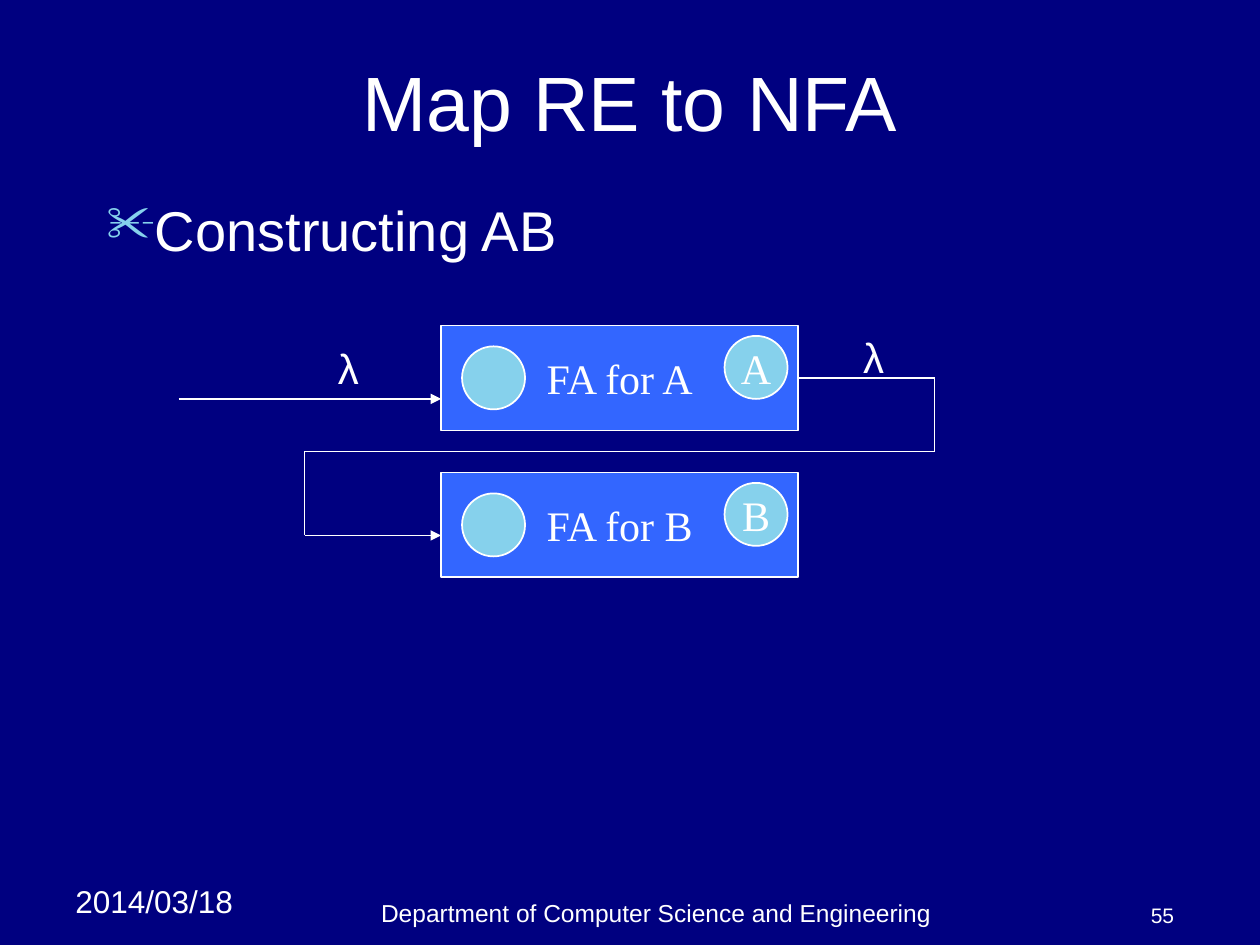
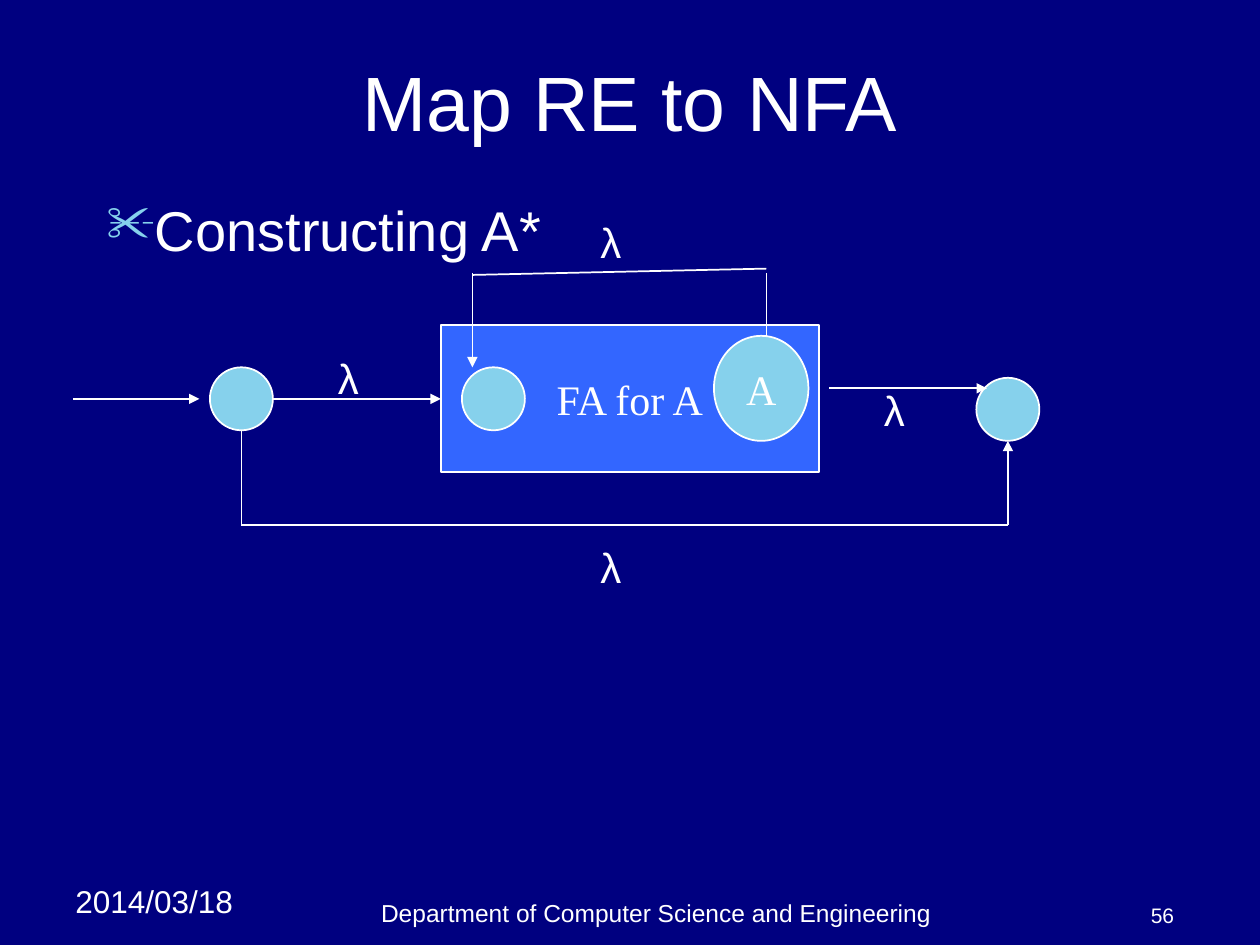
from dataclasses import dataclass
from itertools import pairwise

from lxml import etree
from pptx import Presentation
from pptx.dml.color import RGBColor
from pptx.enum.shapes import MSO_CONNECTOR, MSO_SHAPE
from pptx.enum.text import MSO_ANCHOR, PP_ALIGN
from pptx.oxml.ns import qn
from pptx.util import Cm, Pt

RECTANGLE, OVAL = MSO_SHAPE.RECTANGLE, MSO_SHAPE.OVAL
STRAIGHT = MSO_CONNECTOR.STRAIGHT
LEFT, CENTER, RIGHT = PP_ALIGN.LEFT, PP_ALIGN.CENTER, PP_ALIGN.RIGHT
TOP, MIDDLE, BOTTOM = MSO_ANCHOR.TOP, MSO_ANCHOR.MIDDLE, MSO_ANCHOR.BOTTOM


@dataclass(frozen=True)
class Theme:
    background: RGBColor = RGBColor(0x00, 0x00, 0x80)
    ink: RGBColor = RGBColor(0xFF, 0xFF, 0xFF)
    automaton: RGBColor = RGBColor(0x33, 0x66, 0xFF)
    state: RGBColor = RGBColor(0x86, 0xD1, 0xEC)
    sans: str = "Arial"
    serif: str = "Times New Roman"
    title: int = 44
    body: int = 32
    diagram: int = 24
    date: int = 18
    footer: int = 14
    number: int = 12
    line: int = 1


THEME = Theme()
GRID = Cm(2.54) / 12  # step of the diagram grid
STATE_SIZE = 6  # grid steps


def write(shape, text, size, font=THEME.sans, align=LEFT, anchor=TOP, wrap=True):
    """Put one styled paragraph into a shape and return it."""
    frame = shape.text_frame
    frame.text = text
    frame.word_wrap = wrap
    frame.vertical_anchor = anchor
    paragraph = frame.paragraphs[0]
    paragraph.alignment = align
    for run in paragraph.runs:
        run.font.size = Pt(size)
        run.font.name = font
        run.font.color.rgb = THEME.ink
    return paragraph


def add_text(slide, box, text, size, **style):
    return write(slide.shapes.add_textbox(*box), text, size, **style)


def add_scissors_bullet(paragraph):
    props = paragraph._p.get_or_add_pPr()
    indent = Cm(0.95)
    props.set("marL", str(indent))
    props.set("indent", str(-indent))
    color = etree.SubElement(props, qn("a:buClr"))
    etree.SubElement(color, qn("a:srgbClr"), val=str(THEME.state))
    etree.SubElement(props, qn("a:buSzPct"), val="90000")
    etree.SubElement(props, qn("a:buChar"), char="✂")


@dataclass
class Diagram:
    """Automaton drawing, in grid steps from its top left corner."""
    slide: object
    left: int
    top: int

    def point(self, x, y):
        return round(self.left + x * GRID), round(self.top + y * GRID)

    def node(self, kind, x, y, width, height, fill, text):
        size = round(width * GRID), round(height * GRID)
        shape = self.slide.shapes.add_shape(kind, *self.point(x, y), *size)
        shape.shadow.inherit = False
        shape.fill.solid()
        shape.fill.fore_color.rgb = fill
        shape.line.color.rgb = THEME.ink
        shape.line.width = Pt(THEME.line)
        if text:
            write(shape, text, THEME.diagram, font=THEME.serif,
                  align=CENTER, anchor=MIDDLE, wrap=False)

    def state(self, x, y, name="", width=STATE_SIZE, height=STATE_SIZE):
        self.node(OVAL, x, y, width, height, THEME.state, name)

    def automaton(self, x, y, width, height, name):
        self.node(RECTANGLE, x, y, width, height, THEME.automaton, f"FA for {name}")

    def route(self, *points, arrow=True):
        """Join the points by lines; the arrowhead ends the last one."""
        for start, end in pairwise(points):
            line = self.slide.shapes.add_connector(
                STRAIGHT, *self.point(*start), *self.point(*end))
            line.line.color.rgb = THEME.ink
            line.line.width = Pt(THEME.line)
            etree.SubElement(line._element.spPr, qn("a:effectLst"))
        if arrow:
            etree.SubElement(line.line._get_or_add_ln(), qn("a:tailEnd"), type="triangle")

    def lambdas(self, *places):
        for place in places:
            box = *self.point(*place), round(4.5 * GRID), round(6 * GRID)
            add_text(self.slide, box, "λ", THEME.diagram, wrap=False)


def add_base_slide(prs, topic, number):
    """Footer row, title and bullet that both slides share."""
    slide = prs.slides.add_slide(prs.slide_layouts[6])
    # Footer row
    add_text(slide, (Cm(1.27), Cm(17.65), Cm(4), Cm(1.02)), "2014/03/18", THEME.date)
    row_top, row_height = Cm(17.98), Cm(0.85)
    add_text(slide, (Cm(4.66), row_top, Cm(17.14), row_height),
             "Department of Computer Science and Engineering",
             THEME.footer, align=CENTER, anchor=BOTTOM)
    add_text(slide, (Cm(22.22), row_top, Cm(1.7), row_height), str(number),
             THEME.number, align=RIGHT, anchor=BOTTOM)
    # Title and topic
    add_text(slide, (Cm(1.27), Cm(0.76), Cm(22.86), Cm(2.54)), "Map RE to NFA",
             THEME.title, align=CENTER, anchor=MIDDLE)
    add_scissors_bullet(add_text(
        slide, (Cm(1.9), Cm(3.81), Cm(21.6), Cm(14.18)), topic, THEME.body))
    return slide


def draw_concatenation(diagram):
    # Automata, one above the other
    for row, name in enumerate("AB"):
        y = row * 14
        diagram.automaton(25, y, 34, 10, name)
        diagram.state(52, y + 1, name)
        diagram.state(27, y + 2)
    # Entry, then the way from A to B
    diagram.route((0, 7), (25, 7))
    diagram.route((59, 5), (72, 5), (72, 12), (12, 12), (12, 20), (25, 20))
    diagram.lambdas((14, 1), (64, 0))


def draw_star(diagram):
    # Automaton with its start and final states
    diagram.automaton(35, 11, 36, 14, "A")
    diagram.state(61, 12, "A", 9, 10)
    diagram.state(37, 15)
    # Outer final and start states
    diagram.state(86, 16)
    diagram.state(13, 15)
    # Entry and way through
    diagram.route((0, 18), (12, 18))
    diagram.route((19, 18), (35, 18))
    diagram.route((72, 17), (87, 17))
    # Loop back over the automaton
    diagram.route((66, 12), (66, 6), arrow=False)
    diagram.route((38, 6.2), (66, 5.6), arrow=False)
    diagram.route((38, 6), (38, 15))
    # Bypass below
    diagram.route((16, 21), (16, 30), (89, 30), (89, 22))
    diagram.lambdas((24, 13), (49, 0), (49, 31), (76, 16))


def main():
    prs = Presentation()
    prs.slide_width, prs.slide_height = Cm(25.4), Cm(19.05)
    backdrop = prs.slide_master.background.fill
    backdrop.solid()
    backdrop.fore_color.rgb = THEME.background

    concatenation = add_base_slide(prs, "Constructing AB", 55)
    draw_concatenation(Diagram(concatenation, Cm(3.6), Cm(6.56)))
    star = add_base_slide(prs, "Constructing A*", 56)
    draw_star(Diagram(star, Cm(1.48), Cm(4.23)))
    prs.save("out.pptx")


if __name__ == "__main__":
    main()
